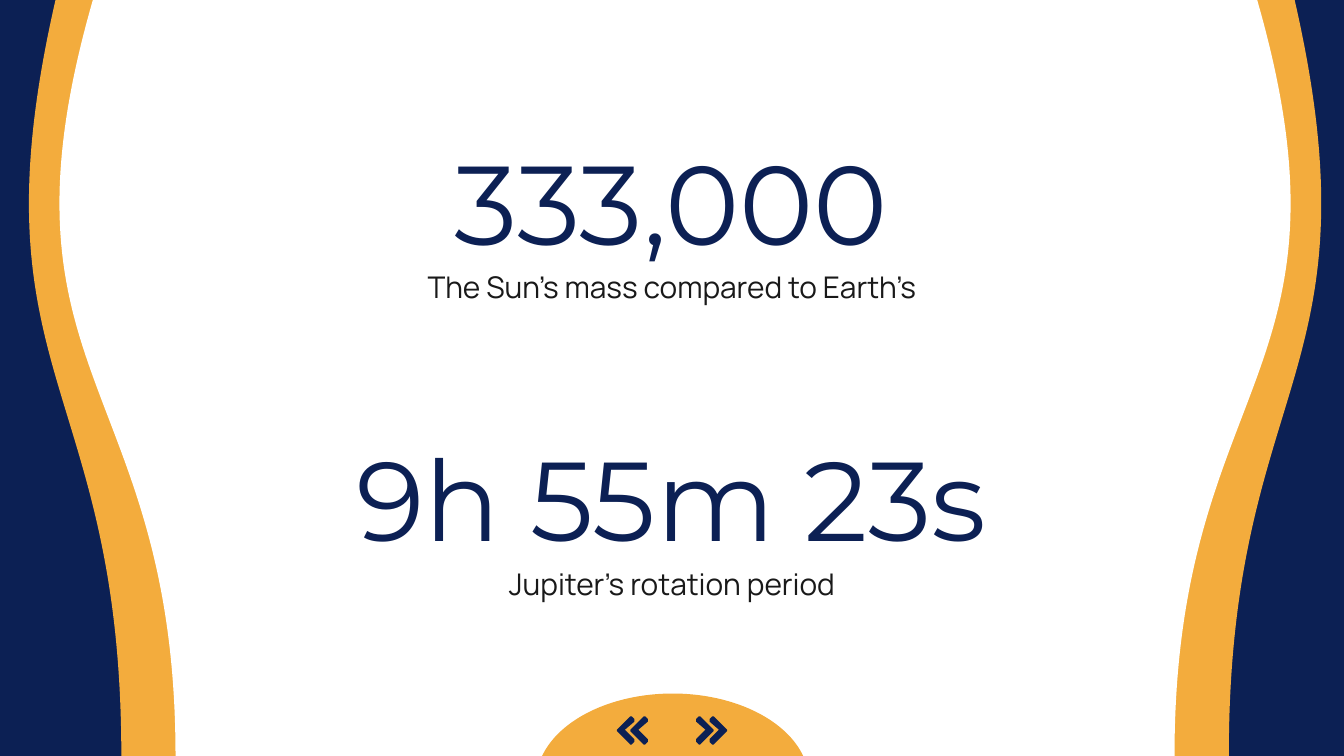
from pptx import Presentation
from pptx.dml.color import RGBColor as RGB
from pptx.enum.shapes import MSO_SHAPE as Kind
from pptx.enum.text import MSO_ANCHOR, MSO_AUTO_SIZE, PP_ALIGN
from pptx.oxml.ns import qn
from pptx.util import Inches, Pt

WIDE = 10
HIGH = WIDE * 9 / 16
THEME = {
    "navy": RGB.from_string("0C2054"),
    "gold": RGB.from_string("F3AC3D"),
    "white": RGB.from_string("FFFFFF"),
    # font, size, colour
    "number": ("Montserrat", 60, RGB.from_string("0C2054")),
    "label": ("Manrope", 16, RGB.from_string("191919")),
}

# number, its top, label, its top
FACTS = [
    ("333,000", 1.04, "The Sun’s mass compared to Earth’s", 1.89),
    ("9h 55m 23s", 3.24, "Jupiter's rotation period", 4.1),
]
SLOTS = [(0, 1), (2, 3)]  # placeholders for number and label

# left, height, turn, flipped, colour
WAVES = [
    (5.21, 3.71, 270, True, "gold"),
    (4.52, 4.66, 270, True, "white"),
    (-0.79, 3.71, 90, False, "gold"),
    (-0.1, 4.66, 90, False, "white"),
]

# upper half of a chevron outline that points right
ARROW = [(0.07, 0.1), (0, 0.04), (0, 0.02), (0.01, 0.01), (0.02, 0),
         (0.03, 0), (0.04, 0.01), (0.12, 0.09), (0.13, 0.1)]
ARROW_TOP, ARROW_HIGH = 5.33, 0.21
ARROW_LEFTS = (5.18, 5.28)


def paint(shape, color):
    shape.shadow.inherit = False
    shape.fill.solid()
    shape.fill.fore_color.rgb = THEME[color]
    shape.line.fill.background()


def flip(shape):
    shape.element.spPr.xfrm.set("flipH", "1")


def write(holder, text, style, box):
    holder.left, holder.top, holder.width, holder.height = map(Inches, box)
    frame = holder.text_frame
    frame.text = text
    frame.word_wrap = True
    frame.auto_size = MSO_AUTO_SIZE.NONE
    frame.vertical_anchor = MSO_ANCHOR.MIDDLE
    frame.margin_left = frame.margin_right = Inches(0.1)
    frame.margin_top = frame.margin_bottom = Inches(0.1)
    para = frame.paragraphs[0]
    props = para._p.get_or_add_pPr()
    props.set("marL", "0")
    props.set("indent", "0")
    props.append(props.makeelement(qn("a:buNone"), {}))
    para.alignment = PP_ALIGN.CENTER
    para.space_before = Pt(0)
    font = para.font
    font.name, size, font.color.rgb = THEME[style]
    font.size, font.bold = Pt(size), False


def add_waves(slide):
    """Put the side waves behind the text."""
    tree = slide.shapes._spTree
    for rank, (left, high, turn, flipped, color) in enumerate(WAVES):
        box = (left, (HIGH - high) / 2, HIGH, high)
        wave = slide.shapes.add_shape(
            Kind.FLOWCHART_DOCUMENT, *map(Inches, box))
        wave.rotation = turn
        if flipped:
            flip(wave)
        paint(wave, color)
        tree.insert(2 + rank, wave.element)


def add_arrows(slide, mirror):
    lower = [(x, ARROW_HIGH - y) for x, y in reversed(ARROW[1:])]
    group = slide.shapes.add_group_shape()
    for left in ARROW_LEFTS:
        points = []
        for x, y in ARROW + lower:
            across = WIDE - left - x if mirror else left + x
            points.append((Inches(across), Inches(ARROW_TOP + y)))
        pen = group.shapes.build_freeform(*points[0])
        pen.add_line_segments(points[1:], close=True)
        paint(pen.convert_to_shape(), "navy")


def add_tab(slide):
    tab = slide.shapes.add_shape(
        Kind.PIE, *map(Inches, (3.99, 5.16, 2.03, 1.31)))
    tab.adjustments[0], tab.adjustments[1] = 0, 108.31
    tab.rotation = 180
    flip(tab)
    paint(tab, "gold")


def main():
    deck = Presentation()
    deck.slide_width, deck.slide_height = Inches(WIDE), Inches(HIGH)
    slide = deck.slides.add_slide(deck.slide_layouts.get_by_name("Comparison"))
    slide.background.fill.solid()
    slide.background.fill.fore_color.rgb = THEME["navy"]

    holders = {h.placeholder_format.idx: h for h in slide.placeholders}
    for (number, top, label, under), (big, small) in zip(FACTS, SLOTS):
        write(holders[big], number, "number", (1.68, top, 6.63, 0.91))
        write(holders[small], label, "label", (2.69, under, 4.62, 0.49))
    for holder in list(slide.placeholders):
        if not holder.text_frame.text:
            holder.element.getparent().remove(holder.element)

    add_waves(slide)
    add_tab(slide)
    for mirror in (False, True):
        add_arrows(slide, mirror)
    deck.save("out.pptx")


if __name__ == "__main__":
    main()
